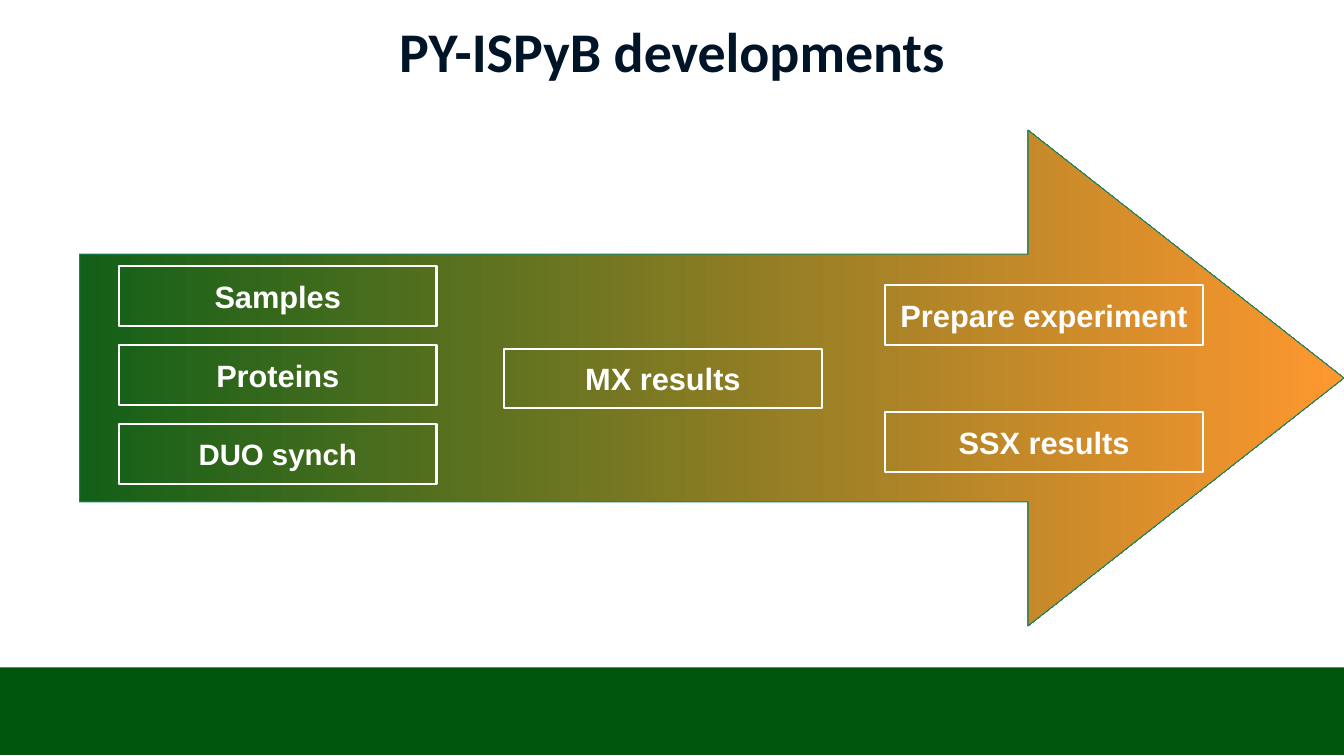
from pptx import Presentation
from pptx.dml.color import RGBColor
from pptx.enum.shapes import MSO_SHAPE
from pptx.enum.text import MSO_ANCHOR, PP_ALIGN
from pptx.util import Inches, Pt

RECTANGLE = MSO_SHAPE.RECTANGLE
RIGHT_ARROW = MSO_SHAPE.RIGHT_ARROW
MIDDLE = MSO_ANCHOR.MIDDLE
CENTER = PP_ALIGN.CENTER

THEME = {
    "footer": RGBColor.from_string("00570C"),
    "arrow_start": RGBColor.from_string("126018"),
    "arrow_end": RGBColor.from_string("FF972F"),
    "arrow_line": RGBColor.from_string("158466"),
    "title": RGBColor.from_string("001427"),
    "label": RGBColor.from_string("FFFFFF"),
    "title_font": "Calibri",
    "label_font": "Arial",
    "title_size": 40,
    "label_size": 22,
    "small_label_size": 21,
}

WIDTH, HEIGHT = 13.33, 7.5
BOX_WIDTH, BOX_HEIGHT = 3.15, 0.59

deck = Presentation()
deck.slide_width = Inches(WIDTH)
deck.slide_height = Inches(HEIGHT)
page = deck.slides.add_slide(deck.slide_layouts[6])


def add_shape(kind, left, top, width, height):
    shape = page.shapes.add_shape(
        kind, Inches(left), Inches(top), Inches(width), Inches(height))
    shape.shadow.inherit = False
    return shape


def write_text(box, text, *, font, size, color, inset_x=0, inset_y=0):
    frame = box.text_frame
    frame.word_wrap = True
    frame.vertical_anchor = MIDDLE
    frame.margin_left = frame.margin_right = Inches(inset_x)
    frame.margin_top = frame.margin_bottom = Inches(inset_y)
    para = frame.paragraphs[0]
    para.alignment = CENTER
    span = para.add_run()
    span.text = text
    span.font.name = font
    span.font.size = Pt(size)
    span.font.bold = True
    span.font.color.rgb = color


footer = add_shape(RECTANGLE, 0, 6.62, WIDTH, 0.87)
footer.fill.solid()
footer.fill.fore_color.rgb = THEME["footer"]
footer.line.fill.background()

arrow_left = 0.79
arrow = add_shape(RIGHT_ARROW, arrow_left, 1.29, WIDTH - arrow_left, 4.92)
arrow.adjustments[0] = 0.5
arrow.adjustments[1] = 0.637
arrow.fill.gradient()
arrow.fill.gradient_angle = 0
for stop, color in zip(arrow.fill.gradient_stops, ("arrow_start", "arrow_end")):
    stop.color.rgb = THEME[color]
arrow.line.color.rgb = THEME["arrow_line"]
arrow.line.width = Pt(0)

title = page.shapes.add_textbox(0, 0, Inches(WIDTH), Inches(0.99))
write_text(title, "PY-ISPyB developments", font=THEME["title_font"],
           size=THEME["title_size"], color=THEME["title"])

columns = [
    (1.18, 2.64, 0.785, [("Samples", "label_size"), ("Proteins", "label_size"),
                         ("DUO synch", "small_label_size")]),
    (5, 3.46, 0, [("MX results", "label_size")]),
    (8.78, 2.83, 1.26, [("Prepare experiment", "label_size"),
                        ("SSX results", "label_size")]),
]
for left, first_top, row_step, labels in columns:
    for row, (label, size) in enumerate(labels):
        box = add_shape(RECTANGLE, left, first_top + row * row_step,
                        BOX_WIDTH, BOX_HEIGHT)
        box.fill.background()
        box.line.color.rgb = THEME["label"]
        box.line.width = Pt(1.5)
        write_text(box, label, font=THEME["label_font"], size=THEME[size],
                   color=THEME["label"], inset_x=0.11, inset_y=0.06)

deck.save("out.pptx")
